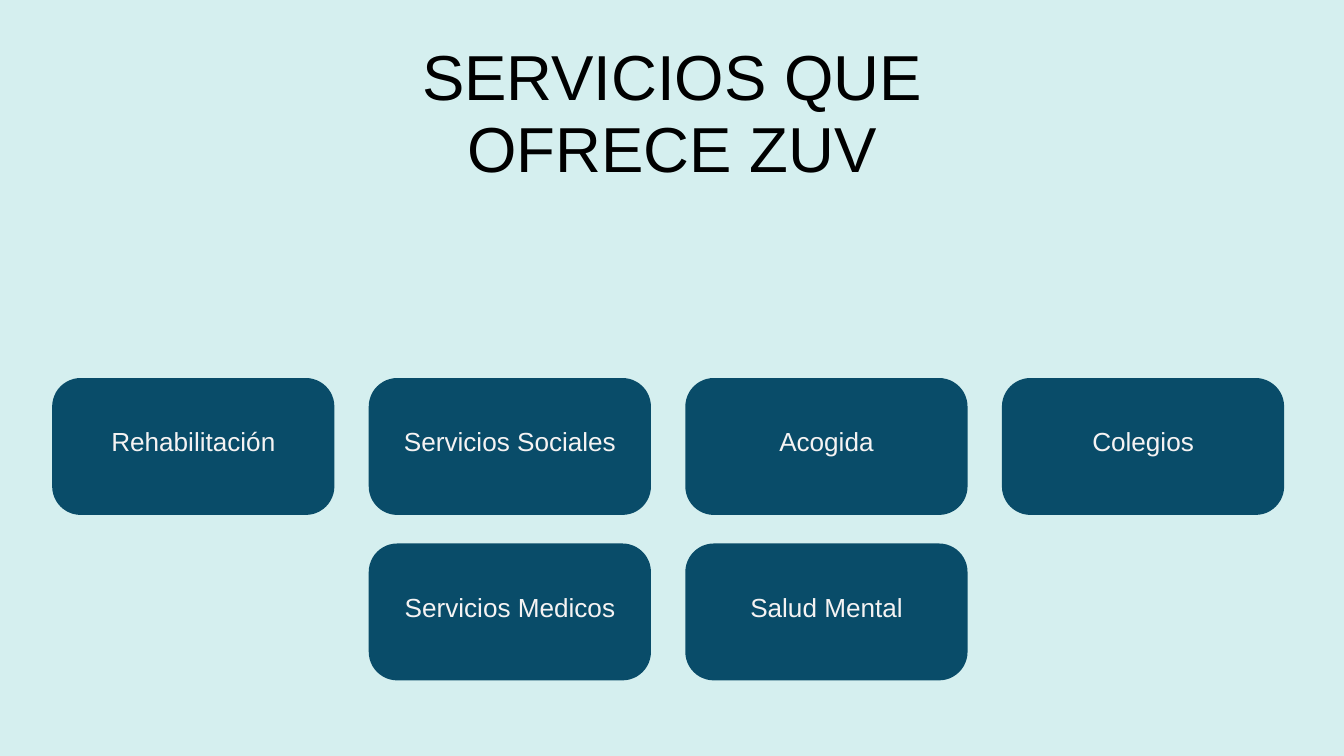
from dataclasses import dataclass

import pptx
import pptx.dml.color
import pptx.enum.shapes
import pptx.enum.text
import pptx.util

Pt = pptx.util.Pt
PP_ALIGN = pptx.enum.text.PP_ALIGN
MSO_ANCHOR = pptx.enum.text.MSO_ANCHOR


@dataclass(frozen=True)
class Theme:
    background: str = "D5EFEF"
    card: str = "094C69"
    card_text: str = "F5F3F3"
    title_text: str = "000000"
    font: str = "Arial"
    title_size: float = 68.1
    title_leading: float = 77.7
    card_size: float = 28
    card_leading: float = 39.2


THEME = Theme()

TITLE = "SERVICIOS QUE OFRECE ZUV"
# Each row: its first column, then its services.
SERVICE_ROWS = [
    (0, ["Rehabilitación", "Servicios Sociales", "Acogida", "Colegios"]),
    (1, ["Servicios Medicos", "Salud Mental"]),
]
GRID_LEFT, GRID_TOP = 55.9, 405
CARD_WIDTH, CARD_HEIGHT = 302.4, 146.7
COLUMN_STEP, ROW_STEP = 339.2, 177.3
CORNER_RADIUS = 30.6


def rgb(color):
    return pptx.dml.color.RGBColor.from_string(color)


def write_centered(frame, text, size, leading, color, anchor, insets):
    """Fill a text frame; insets are left, top, right, bottom in points."""
    frame.word_wrap = True
    frame.auto_size = pptx.enum.text.MSO_AUTO_SIZE.NONE
    frame.vertical_anchor = anchor
    (frame.margin_left, frame.margin_top,
     frame.margin_right, frame.margin_bottom) = map(Pt, insets)
    paragraph = frame.paragraphs[0]
    paragraph.alignment = PP_ALIGN.CENTER
    paragraph.line_spacing = Pt(leading)
    run = paragraph.add_run()
    run.text = text
    run.font.name = THEME.font
    run.font.size = Pt(size)
    run.font.color.rgb = rgb(color)


def set_title(slide):
    title = slide.shapes.title
    title.left, title.top = Pt(311.8), Pt(43.2)
    title.width, title.height = Pt(816.5), Pt(155.5)
    write_centered(title.text_frame, TITLE, THEME.title_size,
                   THEME.title_leading, THEME.title_text,
                   MSO_ANCHOR.TOP, (0, 0, 0, 0))


def add_service_card(slide, service, column, row):
    card = slide.shapes.add_shape(
        pptx.enum.shapes.MSO_SHAPE.ROUNDED_RECTANGLE,
        Pt(GRID_LEFT + column * COLUMN_STEP), Pt(GRID_TOP + row * ROW_STEP),
        Pt(CARD_WIDTH), Pt(CARD_HEIGHT))
    card.adjustments[0] = CORNER_RADIUS / CARD_HEIGHT
    card.shadow.inherit = False
    card.fill.solid()
    card.fill.fore_color.rgb = rgb(THEME.card)
    card.line.fill.background()
    # The deeper bottom inset lifts the label slightly above the middle.
    write_centered(card.text_frame, service, THEME.card_size,
                   THEME.card_leading, THEME.card_text,
                   MSO_ANCHOR.MIDDLE, (4, 4, 4, 21))


def main():
    deck = pptx.Presentation()
    deck.slide_width, deck.slide_height = Pt(1440), Pt(810)
    title_only = deck.slide_layouts[5]
    slide = deck.slides.add_slide(title_only)
    slide.background.fill.solid()
    slide.background.fill.fore_color.rgb = rgb(THEME.background)

    set_title(slide)
    for row, (first_column, services) in enumerate(SERVICE_ROWS):
        for column, service in enumerate(services, first_column):
            add_service_card(slide, service, column, row)

    deck.save("out.pptx")


if __name__ == "__main__":
    main()
